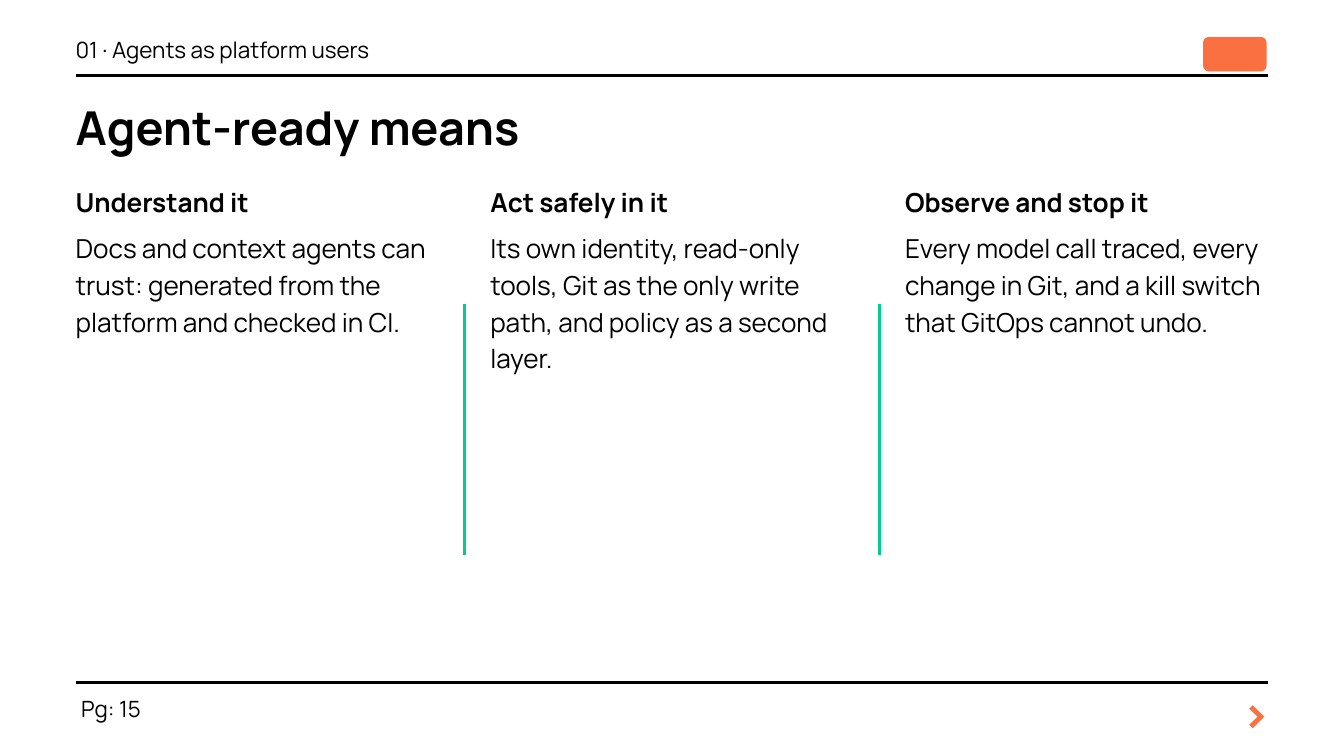
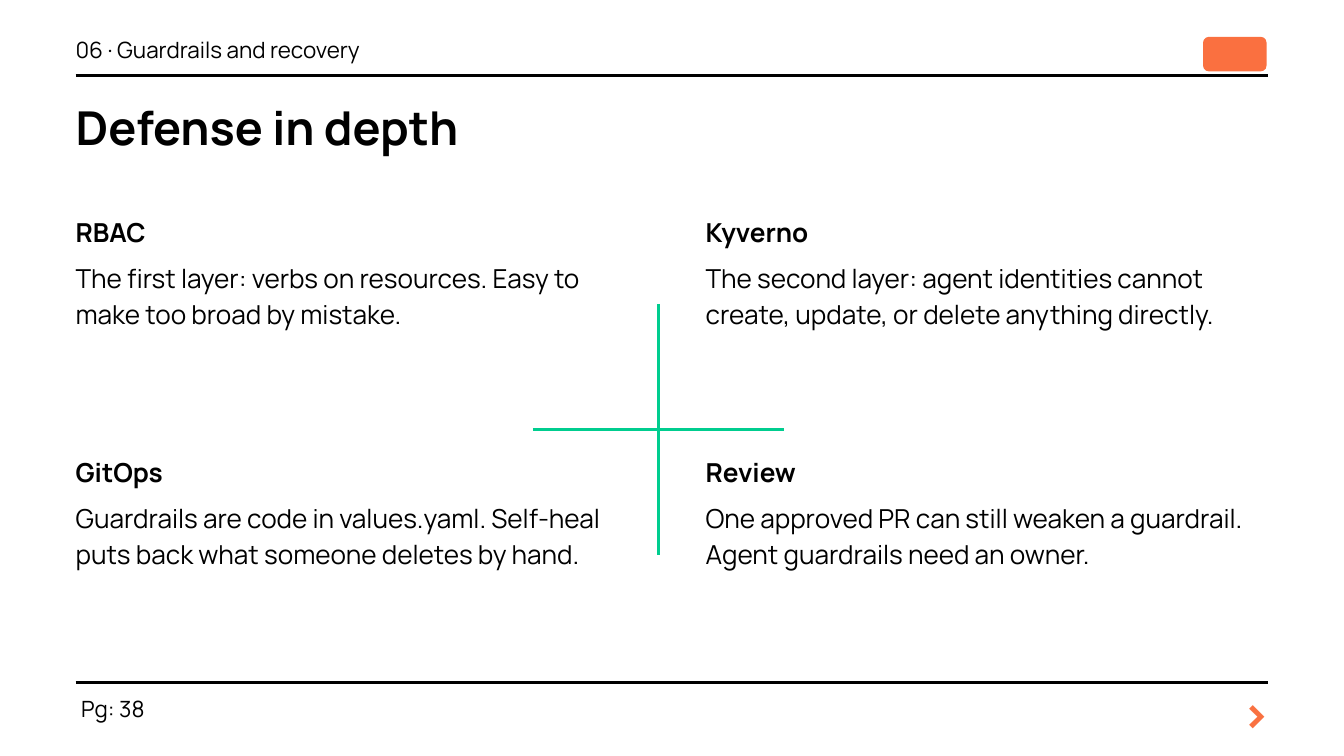
from lxml import etree
from pptx import Presentation
from pptx.dml.color import RGBColor
from pptx.enum.shapes import MSO_CONNECTOR, MSO_SHAPE
from pptx.enum.text import PP_ALIGN
from pptx.oxml.ns import qn
from pptx.util import Pt

STRAIGHT = MSO_CONNECTOR.STRAIGHT
ROUNDED = MSO_SHAPE.ROUNDED_RECTANGLE
LEFT, CENTER = PP_ALIGN.LEFT, PP_ALIGN.CENTER

COLORS = {
    "ink": "000000",
    "paper": "FFFFFF",
    "badge": "FA7040",
    "arrow": "F97141",
    "divider": "00CD8F",
}
FONT = "Manrope"
LEADING = 1.4
RULE_WIDTH = 3

SLIDE_W, SLIDE_H = 1440, 810
MARGIN = 81
CONTENT_W = SLIDE_W - 2 * MARGIN
HEADER_Y, FOOTER_Y = 80.5, 731
CENTER_Y = 460
DIVIDER_LENGTH = 269

COLUMNS_SLIDE = {
    "section": "01 · Agents as platform users",
    "title": "Agent-ready means",
    "page": 15,
    "topics": [
        ("Understand it",
         "Docs and context agents can trust: generated from the platform and checked in CI."),
        ("Act safely in it",
         "Its own identity, read-only tools, Git as the only write path, "
         "and policy as a second layer."),
        ("Observe and stop it",
         "Every model call traced, every change in Git, "
         "and a kill switch that GitOps cannot undo."),
    ],
}
LAYERS_SLIDE = {
    "section": "06 · Guardrails and recovery",
    "title": "Defense in depth",
    "page": 38,
    "topics": [
        ("RBAC",
         "The first layer: verbs on resources. Easy to make too broad by mistake."),
        ("Kyverno",
         "The second layer: agent identities cannot create, update, "
         "or delete anything directly."),
        ("GitOps",
         "Guardrails are code in values.yaml. "
         "Self-heal puts back what someone deletes by hand."),
        ("Review",
         "One approved PR can still weaken a guardrail. Agent guardrails need an owner."),
    ],
}


def rgb(name):
    return RGBColor.from_string(COLORS[name])


def add_text(slide, box, *lines, size=28, color="ink", bold=False,
             bold_first=False, align=LEFT, gap=0):
    """Write one paragraph per line, with gap points between paragraphs."""
    frame = slide.shapes.add_textbox(*map(Pt, box)).text_frame
    frame.word_wrap = True
    frame.margin_left = frame.margin_right = 0
    frame.margin_top = frame.margin_bottom = 0
    for index, line in enumerate(lines):
        paragraph = frame.add_paragraph() if index else frame.paragraphs[0]
        paragraph.alignment = align
        paragraph.line_spacing = Pt(LEADING * size)
        if index:
            paragraph.space_before = Pt(gap)
        run = paragraph.add_run()
        run.text = line
        run.font.name = FONT
        run.font.size = Pt(size)
        run.font.bold = bold or (bold_first and index == 0)
        run.font.color.rgb = rgb(color)


def add_rule(slide, x1, y1, x2, y2, color="ink"):
    rule = slide.shapes.add_connector(STRAIGHT, Pt(x1), Pt(y1), Pt(x2), Pt(y2))
    rule.line.color.rgb = rgb(color)
    rule.line.width = Pt(RULE_WIDTH)
    etree.SubElement(rule._element.spPr, qn("a:effectLst"))


def add_vertical_divider(slide, x):
    half = DIVIDER_LENGTH / 2
    add_rule(slide, x, CENTER_Y - half, x, CENTER_Y + half, "divider")


def add_horizontal_divider(slide, x):
    half = DIVIDER_LENGTH / 2
    add_rule(slide, x - half, CENTER_Y, x + half, CENTER_Y, "divider")


def add_header(slide, section, title):
    right = MARGIN + CONTENT_W
    add_rule(slide, MARGIN, HEADER_Y, right, HEADER_Y)
    badge = slide.shapes.add_shape(ROUNDED, Pt(right - 70), Pt(HEADER_Y - 41), Pt(68), Pt(37))
    badge.shadow.inherit = False
    badge.fill.solid()
    badge.fill.fore_color.rgb = rgb("badge")
    badge.line.fill.background()
    add_text(slide, (MARGIN, HEADER_Y - 46.5, 1008, 32), section, size=24)
    add_text(slide, (MARGIN, HEADER_Y + 15.5, 1188, 68), title, size=50, bold=True)


def add_footer(slide, page):
    right = MARGIN + CONTENT_W
    add_rule(slide, MARGIN, FOOTER_Y, right, FOOTER_Y)
    add_text(slide, (right - 30, FOOTER_Y - 9, 30, 71), ">", size=52,
             color="arrow", bold=True, align=CENTER)
    add_text(slide, (MARGIN + 6, FOOTER_Y + 9, 115, 32), f"Pg: {page}", size=24)


def add_topic_grid(slide, box, topics, columns, column_gap, row_gap=0):
    """Fill the box row by row with headed texts of equal size."""
    left, top, width, height = box
    rows = len(topics) // columns
    cell_w = (width - (columns - 1) * column_gap) / columns
    cell_h = (height - (rows - 1) * row_gap) / rows
    for index, (heading, body) in enumerate(topics):
        row, column = divmod(index, columns)
        cell = (left + column * (cell_w + column_gap),
                top + row * (cell_h + row_gap), cell_w, cell_h)
        add_text(slide, cell, heading, body, bold_first=True, gap=10)


def add_framed_slide(deck, content):
    slide = deck.slides.add_slide(deck.slide_layouts[6])
    slide.background.fill.solid()
    slide.background.fill.fore_color.rgb = rgb("paper")
    add_header(slide, content["section"], content["title"])
    add_footer(slide, content["page"])
    return slide


def build_columns_slide(deck, content):
    slide = add_framed_slide(deck, content)
    count, gap = len(content["topics"]), 55
    add_topic_grid(slide, (MARGIN, 194.5, CONTENT_W, 527), content["topics"], count, gap)
    step = (CONTENT_W + gap) / count
    for column in range(1, count):
        add_vertical_divider(slide, MARGIN + column * step - gap / 2)


def build_layers_slide(deck, content):
    slide = add_framed_slide(deck, content)
    add_topic_grid(slide, (MARGIN, 226, CONTENT_W, 479), content["topics"], 2, 72, 35)
    cross_x = 705.5
    add_horizontal_divider(slide, cross_x)
    add_vertical_divider(slide, cross_x)


def main():
    deck = Presentation()
    deck.slide_width, deck.slide_height = Pt(SLIDE_W), Pt(SLIDE_H)
    build_columns_slide(deck, COLUMNS_SLIDE)
    build_layers_slide(deck, LAYERS_SLIDE)
    deck.save("out.pptx")


if __name__ == "__main__":
    main()
